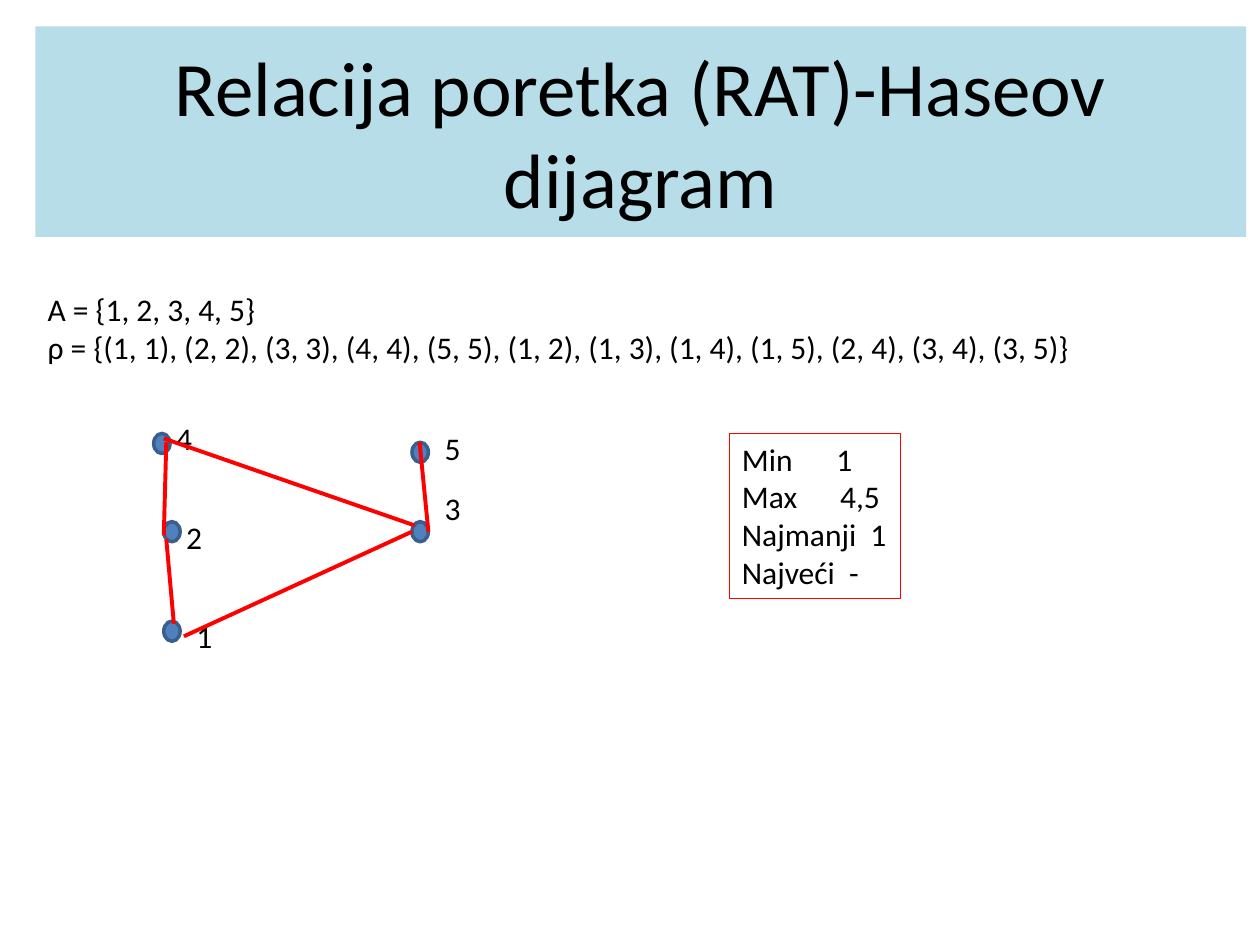
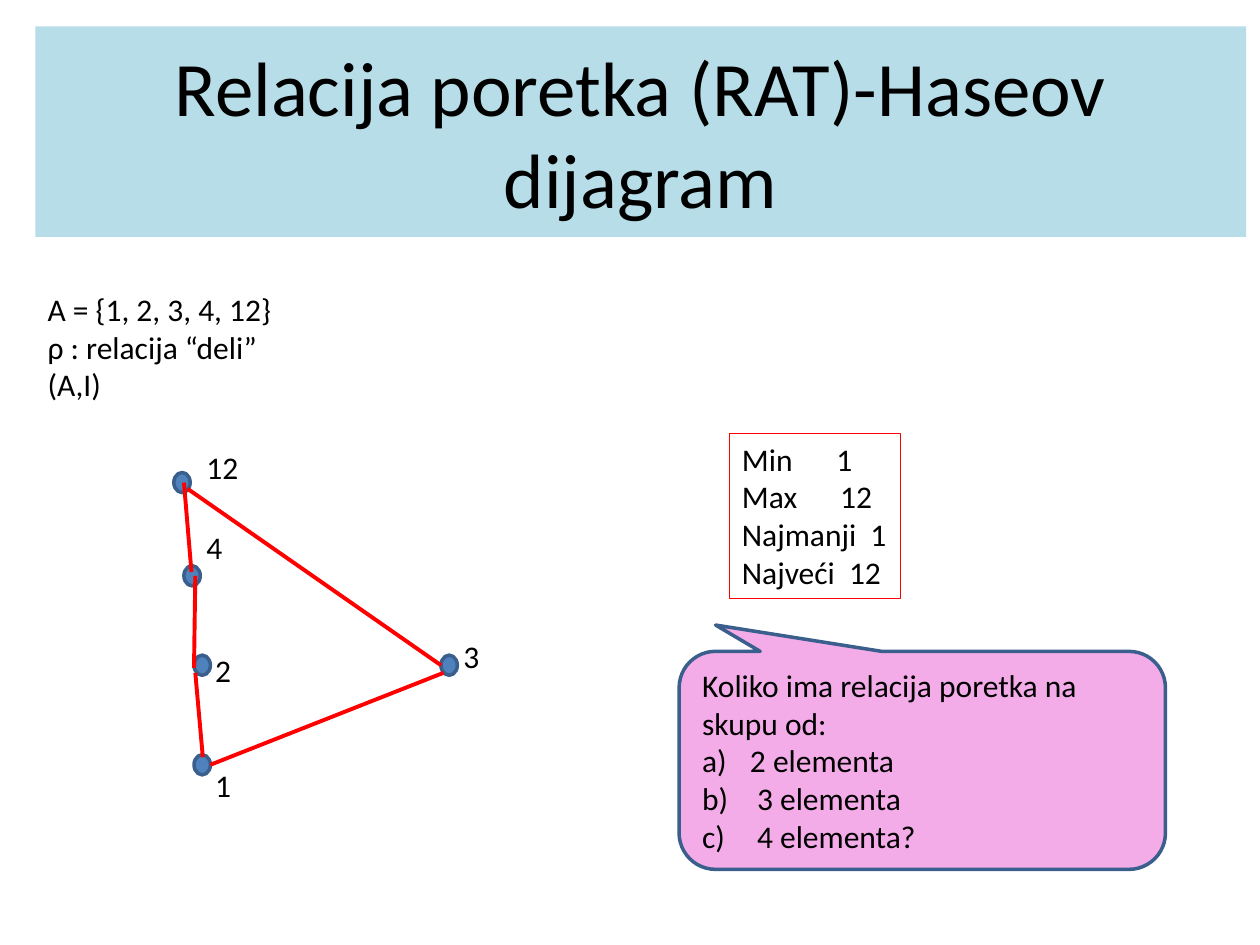
from dataclasses import dataclass, field

from lxml.etree import SubElement
from pptx import Presentation
from pptx.dml.color import RGBColor
from pptx.enum.shapes import MSO_CONNECTOR as Connector, MSO_SHAPE as Preset
from pptx.enum.text import MSO_ANCHOR as Anchor, PP_ALIGN as Align
from pptx.oxml.ns import qn
from pptx.util import Inches, Pt

Point = tuple[float, float]
Box = tuple[float, float, float, float]


@dataclass(frozen=True)
class Theme:
    font: str = "Calibri"
    text: str = "000000"
    band: str = "B7DEE8"
    node: str = "4F81BD"
    outline: str = "3A5F8C"
    edge: str = "FF0000"
    callout: str = "F4ACE8"
    title_size: float = 44
    body_size: float = 18
    outline_width: float = 2
    edge_width: float = 2.25
    frame_width: float = 0.75


@dataclass(frozen=True)
class Node:
    label: str
    corner: Point
    label_corner: Point
    label_width: float = 0.33


@dataclass(frozen=True)
class Edge:
    start: Point
    end: Point


@dataclass(frozen=True)
class Question:
    prompt: str
    options: list[str]


@dataclass(frozen=True)
class HasseSlide:
    definition: list[str]
    definition_width: float
    nodes: list[Node]
    edges: list[Edge]
    extremes: list[str]
    questions: list[Question] = field(default_factory=list)


THEME = Theme()
TITLE = "Relacija poretka (RAT)-Haseov dijagram"
TITLE_BOX = (0.28, 0.21, 9.61, 1.67)
SUMMARY_BOX = (5.79, 3.44, 1.36, 1.31)
CALLOUT_BOX = (5.39, 5.17, 3.86, 1.73)
CALLOUT_ADJUSTMENTS = (-0.425, -0.621, 0.167)
NODE_SIZE = (0.13, 0.16)
LABEL_HEIGHT = 0.4
OPTION_INDENT = 0.38
SUMMARY_ROWS = [("Min", 0.75), ("Max", 0.78), ("Najmanji", 1.02), ("Najveći", 0.85)]

SLIDES = [
    HasseSlide(
        definition=[
            "A = {1, 2, 3, 4, 5}",
            "ρ = {(1, 1), (2, 2), (3, 3), (4, 4), (5, 5), (1, 2), (1, 3), "
            "(1, 4), (1, 5), (2, 4), (3, 4), (3, 5)}",
        ],
        definition_width=8.5,
        nodes=[
            Node("1", (1.3, 4.93), (1.46, 4.85)),
            Node("2", (1.3, 4.14), (1.38, 4.06)),
            Node("3", (3.27, 4.14), (3.43, 3.83)),
            Node("4", (1.22, 3.44), (1.3, 3.28)),
            Node("5", (3.27, 3.51), (3.43, 3.36)),
        ],
        edges=[
            Edge((1.38, 4.95), (1.32, 4.28)),
            Edge((1.3, 4.25), (1.32, 3.51)),
            Edge((1.46, 5.05), (3.27, 4.22)),
            Edge((3.4, 4.22), (3.33, 3.51)),
            Edge((3.29, 4.17), (1.3, 3.48)),
        ],
        extremes=["1", "4,5", "1", "-"],
    ),
    HasseSlide(
        definition=["A = {1, 2, 3, 4, 12}", "ρ : relacija “deli”", "(A,I)"],
        definition_width=3.23,
        nodes=[
            Node("1", (1.54, 5.99), (1.61, 6.03)),
            Node("2", (1.54, 5.2), (1.61, 5.12)),
            Node("3", (3.5, 5.2), (3.58, 5.01)),
            Node("4", (1.46, 4.49), (1.54, 4.14)),
            Node("12", (1.38, 3.75), (1.54, 3.51), 0.46),
        ],
        edges=[
            Edge((1.61, 6.01), (1.55, 5.34)),
            Edge((1.54, 5.3), (1.55, 4.57)),
            Edge((1.67, 6.07), (3.52, 5.34)),
            Edge((1.52, 4.54), (1.46, 3.83)),
            Edge((3.5, 5.28), (1.49, 3.88)),
        ],
        extremes=["1", "12", "1", "12"],
        questions=[
            Question(
                "Koliko ima relacija poretka na skupu od:",
                ["2 elementa", " 3 elementa", " 4 elementa?"],
            )
        ],
    ),
]


def color(value: str) -> RGBColor:
    return RGBColor.from_string(value)


def apply_format(target, values: dict) -> None:
    for name, value in values.items():
        setattr(target, name, value)


def write_lines(shape, lines: list[str], size: float = THEME.body_size,
                align=Align.LEFT, **frame_format) -> None:
    frame = shape.text_frame
    apply_format(frame, {"word_wrap": True, **frame_format})
    for index, line in enumerate(lines):
        paragraph = frame.add_paragraph() if index else frame.paragraphs[0]
        paragraph.alignment = align
        run = paragraph.add_run()
        run.text = line
        apply_format(run.font, {"name": THEME.font, "size": Pt(size)})
        run.font.color.rgb = color(THEME.text)


def add_preset(slide, preset, box: Box, fill: str = "", line: str = "",
               line_width: float = THEME.outline_width):
    shape = slide.shapes.add_shape(preset, *map(Inches, box))
    shape.shadow.inherit = False
    if fill:
        shape.fill.solid()
        shape.fill.fore_color.rgb = color(fill)
    else:
        shape.fill.background()
    if line:
        shape.line.color.rgb = color(line)
        shape.line.width = Pt(line_width)
    else:
        shape.line.fill.background()
    return shape


def add_text(slide, box: Box, lines: list[str], **frame_format) -> None:
    write_lines(slide.shapes.add_textbox(*map(Inches, box)), lines, **frame_format)


def add_title(slide) -> None:
    band = add_preset(slide, Preset.RECTANGLE, TITLE_BOX, THEME.band)
    write_lines(band, [TITLE], THEME.title_size, Align.CENTER,
                vertical_anchor=Anchor.MIDDLE)


def add_node(slide, node: Node) -> None:
    add_preset(slide, Preset.OVAL, (*node.corner, *NODE_SIZE), THEME.node, THEME.outline)
    add_text(slide, (*node.label_corner, node.label_width, LABEL_HEIGHT),
             [node.label], word_wrap=False)


def add_edge(slide, edge: Edge) -> None:
    line = slide.shapes.add_connector(
        Connector.STRAIGHT, *map(Inches, (*edge.start, *edge.end)))
    line.line.color.rgb = color(THEME.edge)
    line.line.width = Pt(THEME.edge_width)
    SubElement(line._element.spPr, qn("a:effectLst"))


def add_summary(slide, extremes: list[str]) -> None:
    frame = add_preset(slide, Preset.RECTANGLE, SUMMARY_BOX, line=THEME.edge,
                       line_width=THEME.frame_width)
    lines = [f"{name}\t{value}" for (name, _), value in zip(SUMMARY_ROWS, extremes)]
    write_lines(frame, lines, vertical_anchor=Anchor.TOP, margin_right=0)
    for paragraph, (_, offset) in zip(frame.text_frame.paragraphs, SUMMARY_ROWS):
        stops = SubElement(paragraph._p.get_or_add_pPr(), qn("a:tabLst"))
        SubElement(stops, qn("a:tab"), pos=str(Inches(offset)), algn="l")


def add_question(slide, question: Question) -> None:
    callout = add_preset(slide, Preset.ROUNDED_RECTANGULAR_CALLOUT, CALLOUT_BOX,
                         THEME.callout, THEME.outline)
    for index, value in enumerate(CALLOUT_ADJUSTMENTS):
        callout.adjustments[index] = value
    write_lines(callout, [question.prompt, *question.options],
                vertical_anchor=Anchor.MIDDLE)
    for paragraph in callout.text_frame.paragraphs[1:]:
        properties = paragraph._p.get_or_add_pPr()
        properties.set("marL", str(Inches(OPTION_INDENT)))
        properties.set("indent", str(-Inches(OPTION_INDENT)))
        SubElement(properties, qn("a:buFont"), typeface=THEME.font)
        SubElement(properties, qn("a:buAutoNum"), type="alphaLcParenR")


def build_slide(presentation, content: HasseSlide) -> None:
    slide = presentation.slides.add_slide(presentation.slide_layouts[6])
    add_title(slide)
    add_text(slide, (0.28, 2.25, content.definition_width, 5.25), content.definition)
    for node in content.nodes:
        add_node(slide, node)
    add_summary(slide, content.extremes)
    for edge in content.edges:
        add_edge(slide, edge)
    for question in content.questions:
        add_question(slide, question)


def main() -> None:
    presentation = Presentation()
    apply_format(presentation, {"slide_width": Inches(10), "slide_height": Inches(7.5)})
    for content in SLIDES:
        build_slide(presentation, content)
    presentation.save("out.pptx")


main()
